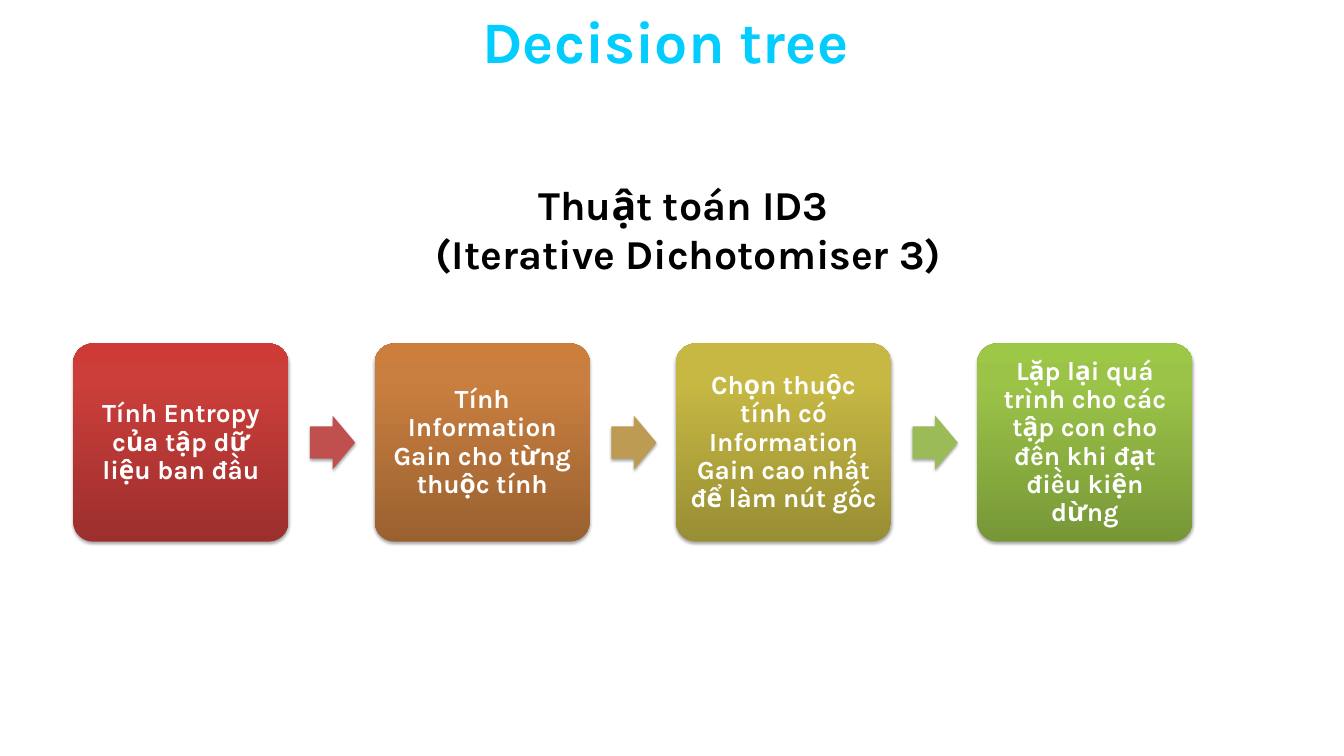
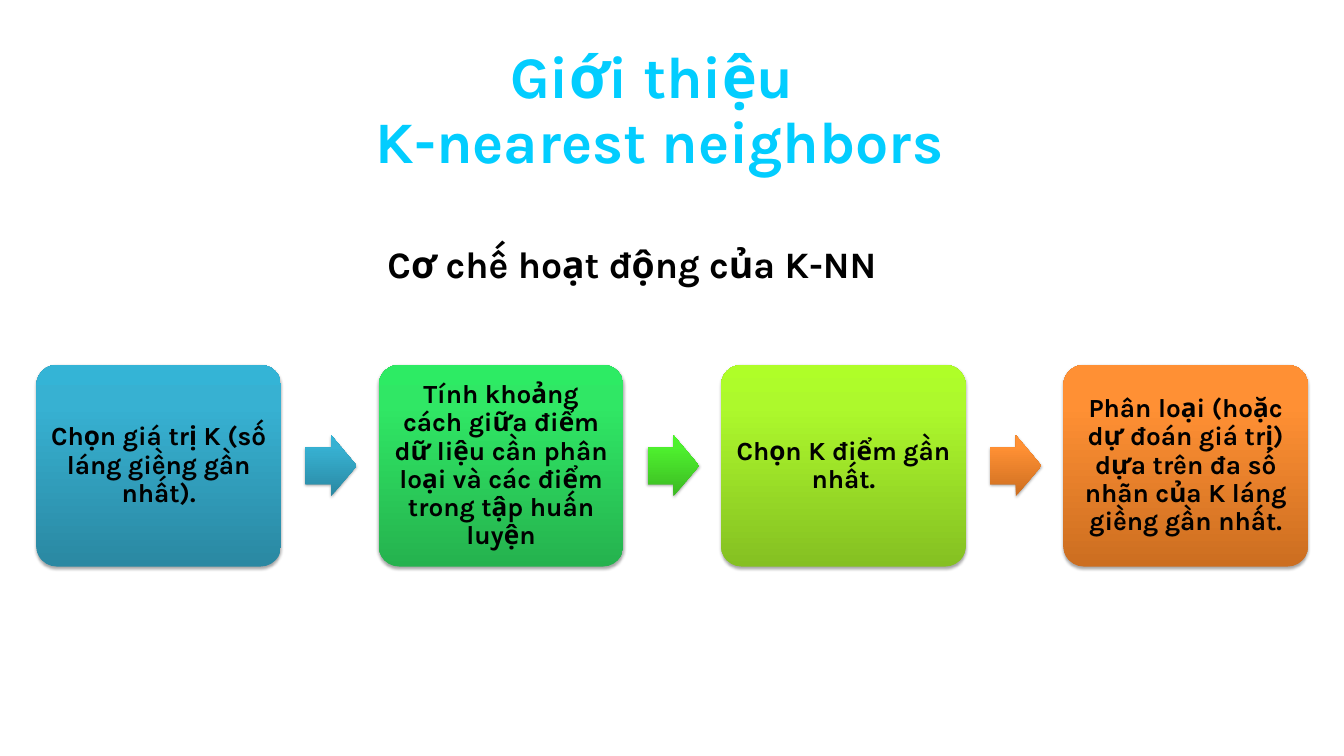
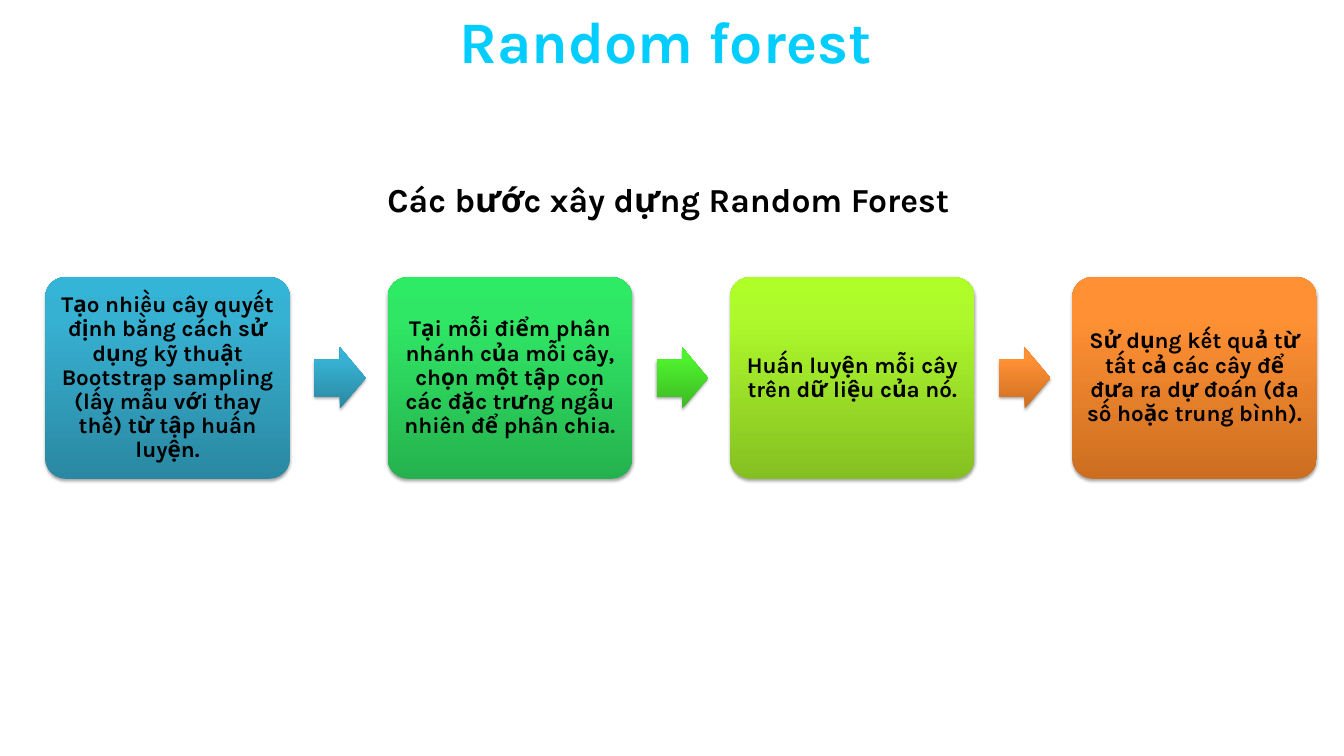
from copy import deepcopy

from lxml import etree
from pptx import Presentation
from pptx.dml.color import RGBColor
from pptx.enum.shapes import MSO_SHAPE
from pptx.enum.text import MSO_ANCHOR, MSO_AUTO_SIZE, PP_ALIGN
from pptx.oxml.ns import qn
from pptx.util import Pt

ROUNDED = MSO_SHAPE.ROUNDED_RECTANGLE
ARROW = MSO_SHAPE.RIGHT_ARROW
MIDDLE = MSO_ANCHOR.MIDDLE
GROW = MSO_AUTO_SIZE.SHAPE_TO_FIT_TEXT
LEFT, CENTER = PP_ALIGN.LEFT, PP_ALIGN.CENTER

FONT = "Karla"
TITLE_COLOR, BLACK, WHITE = "02CDFF", "000000", "FFFFFF"
STOP_POSITIONS = (0, 0.8, 1)

# Gradients run from the dark bottom to the light top
BLUE = ("2A88A2", "37B1D2", "34B4D6")
GREEN = ("25B24E", "30E765", "2DEB64")
BRIGHT_GREEN = ("3CB923", "4EF02E", "4CF52A")
LIME = ("85C022", "ADF92C", "AFFE28")
ORANGE = ("CC6E20", "FF9034", "FF9136")
RED = ("9C2F2D", "CB3E3A", "CE3B37")
BROWN = ("9A6130", "C87E3F", "CC7E3C")
OLIVE = ("988E34", "C6B843", "C9BB41")
LEAF = ("779737", "9BC348", "9DC746")

WARM_BOXES = (RED, BROWN, OLIVE, LEAF)
WARM_ARROWS = ("C0504D", "BD9B53", "9BBB59")
VIVID_BOXES = (BLUE, GREEN, LIME, ORANGE)
VIVID_ARROWS = (BLUE, BRIGHT_GREEN, ORANGE)

# Flow proportions, relative to the width of a box
PITCH, ARROW_OFFSET, ARROW_WIDTH, ARROW_HEIGHT = 1.4, 1.1, 0.21, 0.25


def color(hex_value):
    return RGBColor.from_string(hex_value)


def set_attributes(target, values):
    for name, value in values.items():
        setattr(target, name, value)


def write(frame, lines, size, text_color, inset=None, frame_format=None, **paragraph_format):
    """Fill a text frame with one bold paragraph per line."""
    frame.word_wrap = True
    set_attributes(frame, frame_format or {})
    if inset is not None:
        sides = ("left", "top", "right", "bottom")
        set_attributes(frame, {f"margin_{side}": Pt(inset) for side in sides})
    for index, line in enumerate(lines):
        paragraph = frame.add_paragraph() if index else frame.paragraphs[0]
        paragraph.text = line
        set_attributes(paragraph, paragraph_format)
        font = paragraph.runs[0].font
        set_attributes(font, {"name": FONT, "size": Pt(size), "bold": True})
        font.color.rgb = color(text_color)


def add_text(slide, box, lines, size, text_color, **options):
    text_box = slide.shapes.add_textbox(*map(Pt, box))
    write(text_box.text_frame, lines, size, text_color,
          frame_format={"auto_size": GROW}, **options)


def add_title(slide, box, *lines):
    add_text(slide, box, lines, 63, TITLE_COLOR, inset=0,
             alignment=CENTER, line_spacing=Pt(69.3))


def add_heading(slide, box, size, *lines, alignment=LEFT):
    add_text(slide, box, lines, size, BLACK, alignment=alignment)


def paint(shape, fill):
    """Fill with one colour, or with a vertical gradient of three."""
    if isinstance(fill, str):
        shape.fill.solid()
        shape.fill.fore_color.rgb = color(fill)
        return
    shape.fill.gradient()
    shape.fill.gradient_angle = 90
    stop_list = shape._element.spPr.find(".//" + qn("a:gsLst"))
    stop_list.append(deepcopy(stop_list[-1]))
    for stop, position, hex_value in zip(shape.fill.gradient_stops, STOP_POSITIONS, fill):
        stop.position = position
        stop.color.rgb = color(hex_value)


def add_soft_shadow(shape):
    shape.shadow.inherit = False
    effects = shape._element.spPr.find(qn("a:effectLst"))
    shadow = etree.SubElement(effects, qn("a:outerShdw"), blurRad=str(Pt(3.15)),
                              dist=str(Pt(1.81)), dir="5400000", rotWithShape="0")
    shade = etree.SubElement(shadow, qn("a:srgbClr"), val=BLACK)
    etree.SubElement(shade, qn("a:alpha"), val="35000")


def add_block(slide, kind, box, fill, *adjustments):
    shape = slide.shapes.add_shape(kind, *map(Pt, box))
    for index, value in enumerate(adjustments):
        shape.adjustments[index] = value
    paint(shape, fill)
    shape.line.fill.background()
    add_soft_shadow(shape)
    return shape


def add_flow(slide, first_box, steps, size, text_color, box_fills, arrow_fills):
    """Lay out the steps from left to right with an arrow in every gap."""
    left, top, width, height = first_box
    arrow_height = ARROW_HEIGHT * width
    arrow_top = top + (height - arrow_height) / 2
    for index, (step, fill) in enumerate(zip(steps, box_fills)):
        x = left + index * PITCH * width
        box = add_block(slide, ROUNDED, (x, top, width, height), fill, 0.1)
        write(box.text_frame, [step], size, text_color, inset=0.3 * size,
              frame_format={"vertical_anchor": MIDDLE},
              alignment=CENTER, line_spacing=0.9)
        if index < len(arrow_fills):
            arrow_box = (x + ARROW_OFFSET * width, arrow_top,
                         ARROW_WIDTH * width, arrow_height)
            add_block(slide, ARROW, arrow_box, arrow_fills[index], 0.6, 0.5)


def build_decision_tree(slide):
    add_title(slide, (368, 11.5, 690, 70), "Decision tree")
    add_heading(slide, (402, 188.5, 672, 114), 44, "Thuật toán ID3 ",
                "(Iterative Dichotomiser 3)", alignment=CENTER)
    steps = (
        "Tính Entropy của tập dữ liệu ban đầu",
        "Tính Information Gain cho từng thuộc tính",
        "Chọn thuộc tính có Information Gain cao nhất để làm nút gốc",
        "Lặp lại quá trình cho các tập con cho đến khi đạt điều kiện dừng",
    )
    add_flow(slide, (78.5, 368, 230.6, 212.4), steps, 28, WHITE, WARM_BOXES, WARM_ARROWS)


def build_nearest_neighbors(slide):
    add_heading(slide, (408, 255, 720, 55.5), 40, "Cơ chế hoạt động của K-NN")
    add_title(slide, (375, 49, 663, 140), "Giới thiệu ", "K-nearest neighbors")
    steps = (
        "Chọn giá trị K (số láng giềng gần nhất).",
        "Tính khoảng cách giữa điểm dữ liệu cần phân loại và các điểm trong tập huấn luyện",
        "Chọn K điểm gần nhất.",
        "Phân loại (hoặc dự đoán giá trị) dựa trên đa số nhãn của K láng giềng gần nhất.",
    )
    add_flow(slide, (39, 391, 262, 216), steps, 28, BLACK, VIVID_BOXES, VIVID_ARROWS)


def build_random_forest(slide):
    add_title(slide, (368, 11.5, 690, 70), "Random forest")
    steps = (
        "Tạo nhiều cây quyết định bằng cách sử dụng kỹ thuật Bootstrap sampling "
        "(lấy mẫu với thay thế) từ tập huấn luyện.",
        "Tại mỗi điểm phân nhánh của mỗi cây, chọn một tập con các đặc trưng "
        "ngẫu nhiên để phân chia.",
        "Huấn luyện mỗi cây trên dữ liệu của nó.",
        "Sử dụng kết quả từ tất cả các cây để đưa ra dự đoán (đa số hoặc trung bình).",
    )
    add_flow(slide, (48.5, 297, 262, 216), steps, 24, BLACK, VIVID_BOXES, VIVID_ARROWS)
    add_heading(slide, (408, 188.5, 798, 51), 36, "Các bước xây dựng Random Forest")


def main():
    presentation = Presentation()
    presentation.slide_width, presentation.slide_height = Pt(1440), Pt(810)
    blank = presentation.slide_layouts[6]
    for build in (build_decision_tree, build_nearest_neighbors, build_random_forest):
        build(presentation.slides.add_slide(blank))
    presentation.save("out.pptx")


if __name__ == "__main__":
    main()
